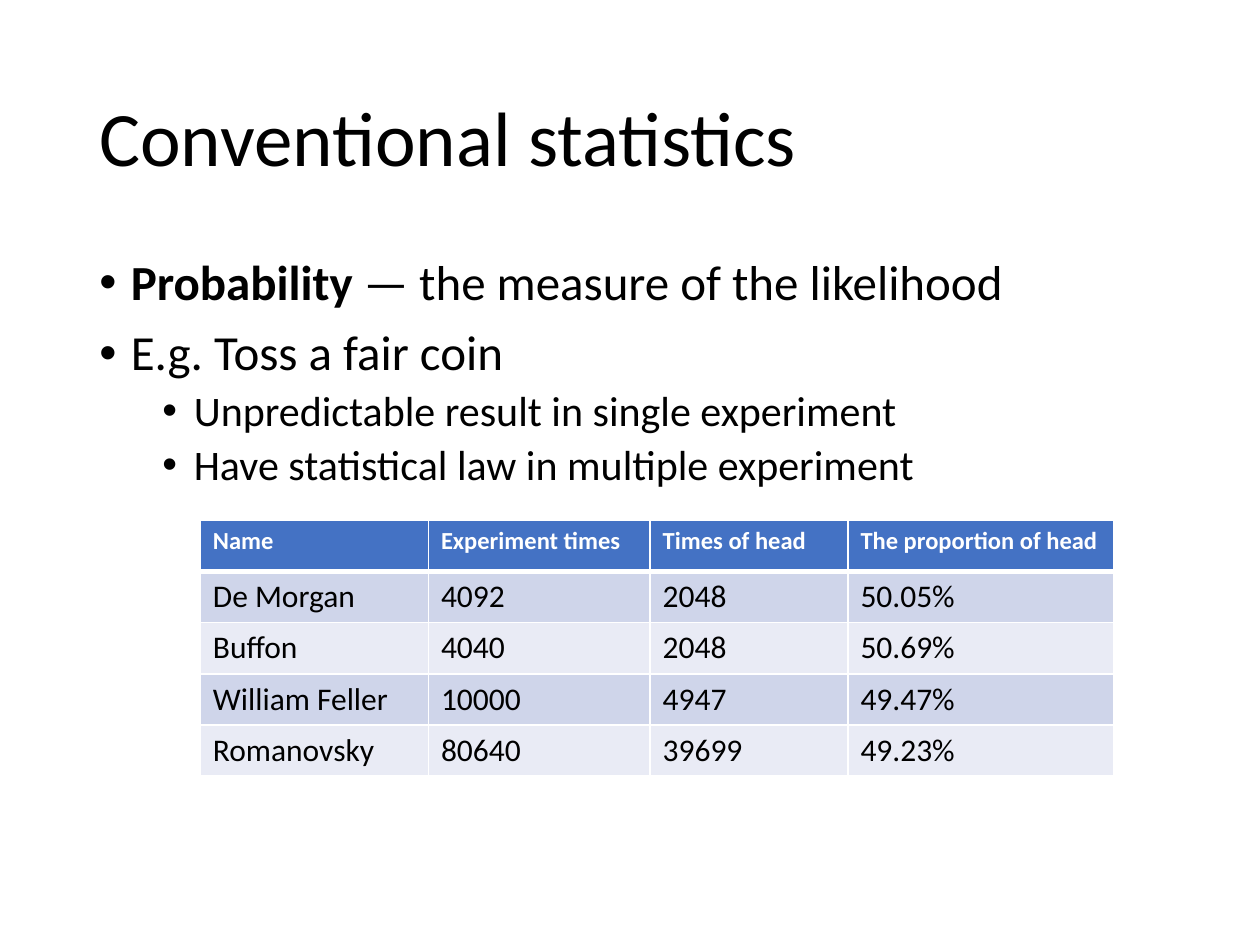
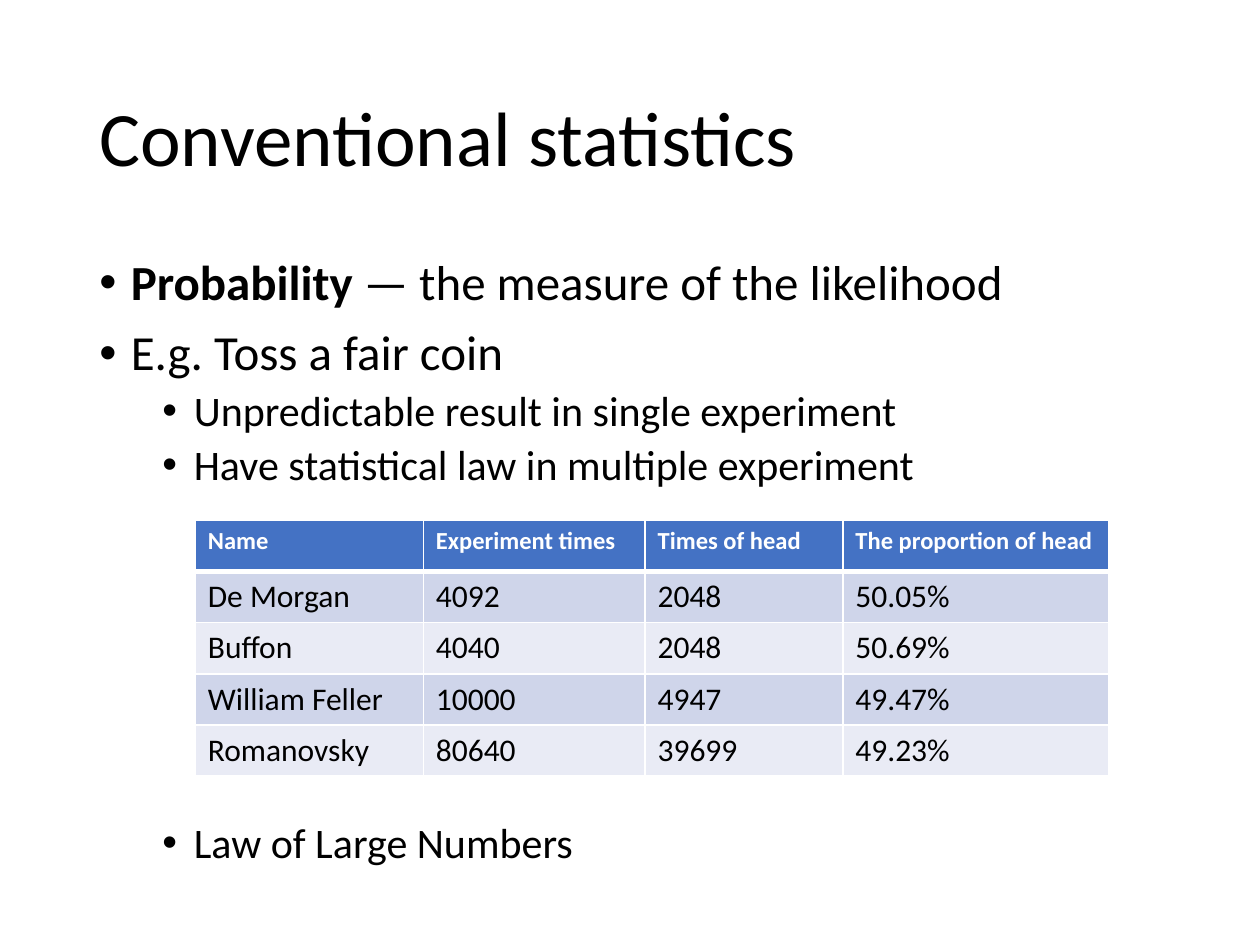
from lxml.etree import SubElement
from pptx import Presentation
from pptx.dml.color import RGBColor
from pptx.enum.text import MSO_ANCHOR
from pptx.oxml.ns import qn
from pptx.util import Inches, Pt

BLACK = RGBColor(0x00, 0x00, 0x00)
WHITE = RGBColor(0xFF, 0xFF, 0xFF)
HEADER_BLUE = RGBColor(0x44, 0x72, 0xC4)
BANDS = (RGBColor(0xCF, 0xD5, 0xEA), RGBColor(0xE9, 0xEB, 0xF5))
FONT = "Calibri"

# Bullet level: (font size, left margin in inches, space before in points)
LEVELS = ((28, 0.25, 10), (24, 0.75, 5))
HANGING = 0.25

TITLE = "Conventional statistics"
TITLE_BOX = (0.69, 0.4, 8.62, 1.45)
BULLETS = (
    (0, (("Probability\u00a0", True),
         ("— the\u00a0measure\u00a0of the likelihood", False))),
    (0, (("E.g. Toss a fair coin", False),)),
    (1, (("Unpredictable result in single experiment", False),)),
    (1, (("Have statistical law in multiple experiment", False),)),
)
CONCLUSION = (1, (("Law of Large Numbers", False),))
TABLE_GAP = 190

COIN_TOSSES = (
    ("Name", "Experiment times", "Times of head", "The proportion of head"),
    ("De Morgan", "4092", "2048", "50.05%"),
    ("Buffon", "4040", "2048", "50.69%"),
    ("William Feller", "10000", "4947", "49.47%"),
    ("Romanovsky", "80640", "39699", "49.23%"),
)
COLUMN_WIDTHS = (1.81, 1.76, 1.57, 2.11)


def add_run(p, text, size, color=BLACK, bold=False):
    r = p.add_run()
    r.text = text
    r.font.name = FONT
    r.font.size = Pt(size)
    r.font.bold = bold
    r.font.color.rgb = color


def add_text_box(s, box):
    tf = s.shapes.add_textbox(*map(Inches, box)).text_frame
    tf.word_wrap = True
    return tf


def add_title(s, box):
    tf = add_text_box(s, box)
    tf.vertical_anchor = MSO_ANCHOR.MIDDLE
    p = tf.paragraphs[0]
    p.line_spacing = 0.9
    add_run(p, TITLE, 44)


def add_bullet(p, level, runs):
    size, margin, space_before = LEVELS[level]
    p.level = level
    p.line_spacing = 0.9
    p.space_before = Pt(space_before)
    pPr = p._p.get_or_add_pPr()
    pPr.set("marL", str(Inches(margin)))
    pPr.set("indent", str(-Inches(HANGING)))
    SubElement(pPr, qn("a:buFont")).set("typeface", "Arial")
    SubElement(pPr, qn("a:buChar")).set("char", "•")
    for text, bold in runs:
        add_run(p, text, size, bold=bold)


def add_body(s, box, conclusion=None):
    """Add the bullets; the conclusion goes below the space for the table."""
    tf = add_text_box(s, box)
    p = tf.paragraphs[0]
    for i, (level, runs) in enumerate(BULLETS):
        if i:
            p = tf.add_paragraph()
        add_bullet(p, level, runs)
    if conclusion:
        p = tf.add_paragraph()
        add_bullet(p, *conclusion)
        p.space_before = Pt(TABLE_GAP)


def set_borders(cell, top, bottom):
    tcPr = cell._tc.get_or_add_tcPr()
    for side, width in (("L", 1), ("R", 1), ("T", top), ("B", bottom)):
        ln = SubElement(tcPr, qn(f"a:ln{side}"), w=str(Pt(width)))
        fill = SubElement(ln, qn("a:solidFill"))
        SubElement(fill, qn("a:srgbClr"), val=str(WHITE))


def add_toss_table(s, left, top, height=2.03):
    rows, cols = len(COIN_TOSSES), len(COLUMN_WIDTHS)
    table = s.shapes.add_table(rows, cols, Inches(left), Inches(top),
                               Inches(sum(COLUMN_WIDTHS)), Inches(height)).table
    for column, width in zip(table.columns, COLUMN_WIDTHS):
        column.width = Inches(width)
    for i, values in enumerate(COIN_TOSSES):
        header = i == 0
        for j, value in enumerate(values):
            cell = table.cell(i, j)
            set_borders(cell, top=3 if i == 1 else 1, bottom=3 if header else 1)
            cell.fill.solid()
            cell.fill.fore_color.rgb = HEADER_BLUE if header else BANDS[(i - 1) % 2]
            add_run(cell.text_frame.paragraphs[0], value, 14 if header else 18,
                    WHITE if header else BLACK, bold=header)


def add_statistics_slide(prs, body_height, table_left, conclusion=None):
    s = prs.slides.add_slide(prs.slide_layouts[6])
    add_title(s, TITLE_BOX)
    add_body(s, (0.69, 2, 8.62, body_height), conclusion)
    add_toss_table(s, table_left, 4.13)


def main():
    prs = Presentation()
    prs.slide_width, prs.slide_height = Inches(10), Inches(7.5)
    add_statistics_slide(prs, body_height=4.76, table_left=1.59)
    add_statistics_slide(prs, body_height=5.1, table_left=1.55, conclusion=CONCLUSION)
    prs.save("out.pptx")


if __name__ == "__main__":
    main()
